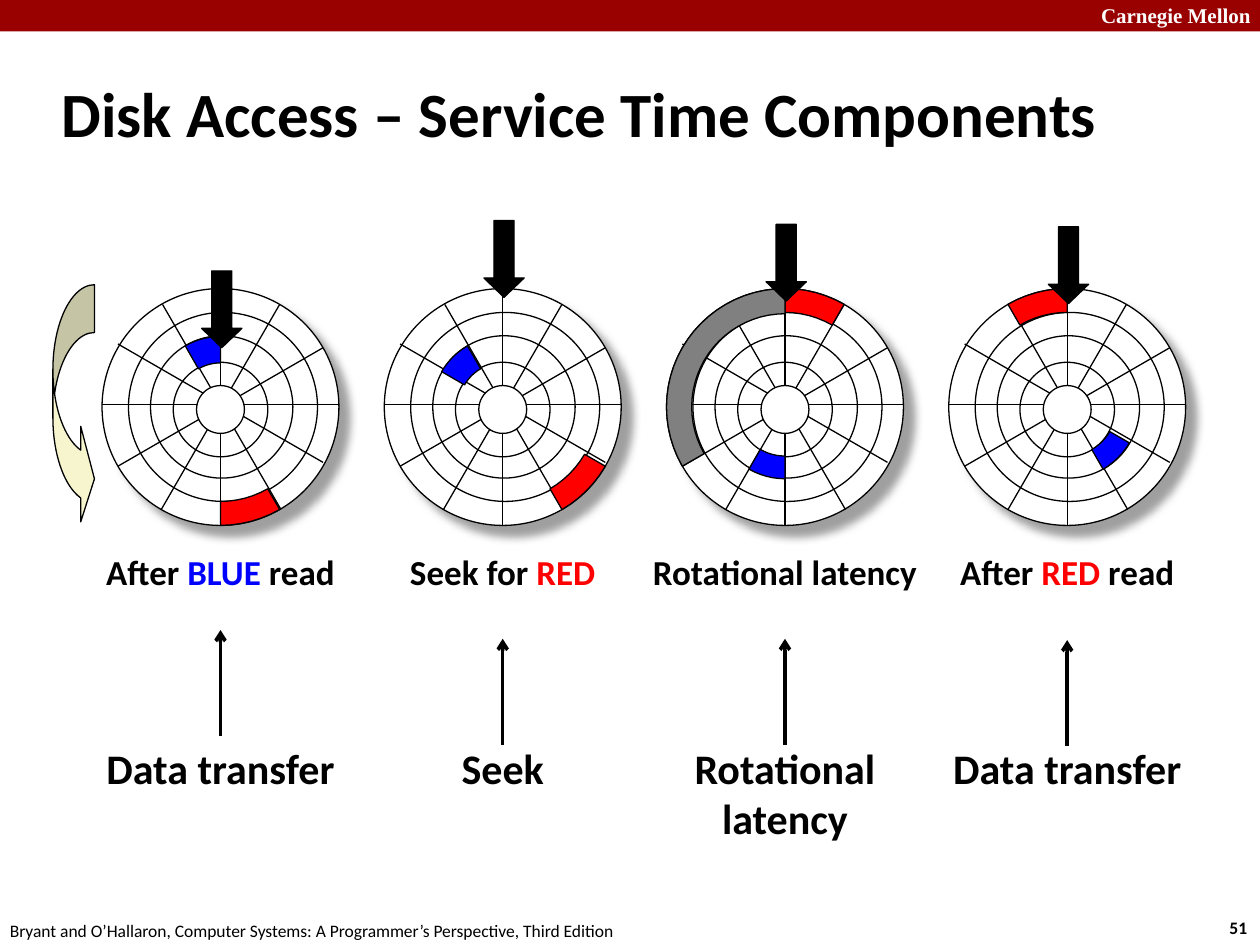
from math import cos, radians, sin

from lxml.etree import SubElement
from pptx import Presentation
from pptx.dml.color import RGBColor
from pptx.enum.shapes import MSO_CONNECTOR, MSO_SHAPE
from pptx.enum.text import MSO_ANCHOR, PP_ALIGN
from pptx.oxml import parse_xml
from pptx.oxml.ns import nsdecls, qn
from pptx.util import Inches, Pt

BLACK, WHITE, RED, BLUE, GRAY = "000000", "FFFFFF", "FF0000", "0000FF", "808080"

presentation = Presentation()
presentation.slide_width, presentation.slide_height = Inches(10), Inches(7.5)
slide = presentation.slides.add_slide(presentation.slide_layouts[5])
cell = presentation.slide_width / 10


def grid(*cells):
    return [round(value * cell) for value in cells]


def write(shape, lines, size, align=PP_ALIGN.LEFT, bold=True, font="Calibri", anchor=MSO_ANCHOR.TOP):
    frame = shape.text_frame
    frame.word_wrap = True
    frame.vertical_anchor = anchor
    for index, line in enumerate(lines):
        paragraph = frame.add_paragraph() if index else frame.paragraphs[0]
        paragraph.alignment = align
        paragraph.font.name, paragraph.font.size, paragraph.font.bold = font, Pt(size), bold
        paragraph.font.color.rgb = RGBColor.from_string(BLACK)
        for text, color in line:
            run = paragraph.add_run()
            run.text = text
            if color != BLACK:
                run.font.color.rgb = RGBColor.from_string(color)
    return shape


painted, lines = [], []

bar = slide.shapes.add_shape(MSO_SHAPE.RECTANGLE, *grid(0, 0, 10, 0.25))
bar.shadow.inherit = False
bar.fill.solid()
bar.fill.fore_color.rgb = RGBColor.from_string("990000")
bar.line.fill.background()

write(slide.shapes.add_textbox(*grid(8.64, -0.03, 1.43, 0.3)),
      [[("Carnegie Mellon", WHITE)]], 12, font="Times New Roman")
write(slide.shapes.add_textbox(*grid(9.66, 7.23, 0.37, 0.27)), [[("51", BLACK)]], 10)
write(slide.shapes.add_textbox(*grid(-0.02, 7.25, 5.08, 0.27)),
      [[("Bryant and O’Hallaron, Computer Systems: A Programmer’s Perspective, Third Edition", BLACK)]],
      10, bold=False)

title = slide.shapes.title
title.left, title.top, title.width, title.height = grid(0.39, 0.48, 8.85, 0.83)
write(title, [[("Disk Access – Service Time Components", BLACK)]], 36, anchor=MSO_ANCHOR.MIDDLE)

first_column, column_gap, middle, radius = 1.75, 2.24, 3.23, 0.94
rings = [(radius, 0, 0), (0.75, 0.02, 0), (0.565, 0.01, 0), (0.375, 0, 0.02)]
hub = (0.19, 0, 0.02)
spokes = [(0, 0, 0), (30, 0, 0), (60, 0, 0), (90, 0, -0.02), (120, 0, -0.03), (150, 0.01, 0)]

# sectors: colour, start and end angle clockwise from the top, inner and outer radius
disks = [
    ([("After ", BLACK), ("BLUE ", BLUE), ("read", BLACK)], ["Data transfer"], 2.15, 5,
     [(BLUE, -30, 0, 0.35, 0.56), (RED, 150, 180, 0.75, radius)]),
    ([("Seek for ", BLACK), ("RED", RED)], ["Seek"], 1.75, 5.07,
     [(RED, 120, 150, 0.75, radius), (BLUE, -60, -30, 0.35, 0.56)]),
    ([("Rotational latency", BLACK)], ["Rotational", "latency"], 1.78, 5.07,
     [(RED, 0, 30, 0.75, radius), (BLUE, 180, 210, 0.39, 0.57), (GRAY, -120, 0, 0.74, radius)]),
    ([("After ", BLACK), ("RED", RED), (" read", BLACK)], ["Data transfer"], 1.8, 5.08,
     [(RED, -30, 0, 0.75, radius), (BLUE, 120, 150, 0.39, 0.57)]),
]

for column, (label, component, head_top, arrow_top, sectors) in enumerate(disks):
    center = first_column + column * column_gap
    disk = slide.shapes.add_group_shape().shapes

    for size, shift_x, shift_y in rings:
        ring = disk.add_shape(MSO_SHAPE.OVAL, *grid(
            center + shift_x - size, middle + shift_y - size, 2 * size, 2 * size))
        painted.append((ring, WHITE))
        if size == radius:
            platter = ring
    for angle, shift_x, shift_y in spokes:
        across, up = radius * sin(radians(angle)), radius * cos(radians(angle))
        x, y = center + shift_x, middle + shift_y
        spoke = disk.add_connector(MSO_CONNECTOR.STRAIGHT, *grid(x + across, y - up, x - across, y + up))
        lines.append((spoke, 0.75))
    size, shift_x, shift_y = hub
    painted.append((disk.add_shape(MSO_SHAPE.OVAL, *grid(
        center + shift_x - size, middle + shift_y - size, 2 * size, 2 * size)), WHITE))

    for color, start, end, inner, outer in sectors:
        angles = range(start, end + 1, 5)
        edge = [(outer, angle) for angle in angles] + [(inner, angle) for angle in reversed(angles)]
        points = [grid(center + r * sin(radians(a)), middle - r * cos(radians(a))) for r, a in edge]
        outline = disk.build_freeform(*points[0])
        outline.add_line_segments(points[1:], close=True)
        painted.append((outline.convert_to_shape(), color))

    head = disk.add_shape(MSO_SHAPE.DOWN_ARROW, *grid(center - 0.15, head_top, 0.32, 0.61))
    head.adjustments[1] = 0.48
    painted.append((head, BLACK))

    write(slide.shapes.add_textbox(*grid(center - 1.3, 4.32, 2.6, 0.43)), [label], 20, PP_ALIGN.CENTER)
    caption = write(slide.shapes.add_textbox(*grid(center - 1.1, 5.84, 2.2, 0.5 * len(component))),
                    [[(text, BLACK)] for text in component], 24, PP_ALIGN.CENTER)
    arrow = slide.shapes.add_connector(MSO_CONNECTOR.STRAIGHT, *grid(
        center, arrow_top + 0.84, center, arrow_top))
    if arrow.begin_y == caption.top:
        arrow.begin_connect(caption, 0)
    lines.append((arrow, 2))

    platter.shadow.inherit = False
    platter._element.spPr.find(qn("a:effectLst")).append(parse_xml(
        f'<a:outerShdw {nsdecls("a")} blurRad="{Pt(5)}" dist="{Pt(8.5)}" dir="2700000" algn="ctr" '
        f'rotWithShape="0"><a:srgbClr val="{GRAY}"><a:alpha val="75000"/></a:srgbClr></a:outerShdw>'))

rotation = slide.shapes.add_shape(MSO_SHAPE.CURVED_RIGHT_ARROW, *grid(0.42, 2.26, 0.33, 1.92))
for index, value in enumerate([1.15, 2.3, 0.33]):
    rotation.adjustments[index] = value
painted.append((rotation, "F7F5CD"))

for shape, color in painted:
    if shape._element.spPr.find(qn("a:effectLst")) is None:
        shape.shadow.inherit = False
    shape.fill.solid()
    shape.fill.fore_color.rgb = RGBColor.from_string(color)
    shape.line.color.rgb = RGBColor.from_string(BLACK)
    shape.line.width = Pt(0.75)

for connector, width in lines:
    connector.line.color.rgb = RGBColor.from_string(BLACK)
    connector.line.width = Pt(width)
    if width == 2:
        SubElement(connector.line._get_or_add_ln(), qn("a:tailEnd"), type="arrow")
    SubElement(connector._element.spPr, qn("a:effectLst"))

presentation.save("out.pptx")
